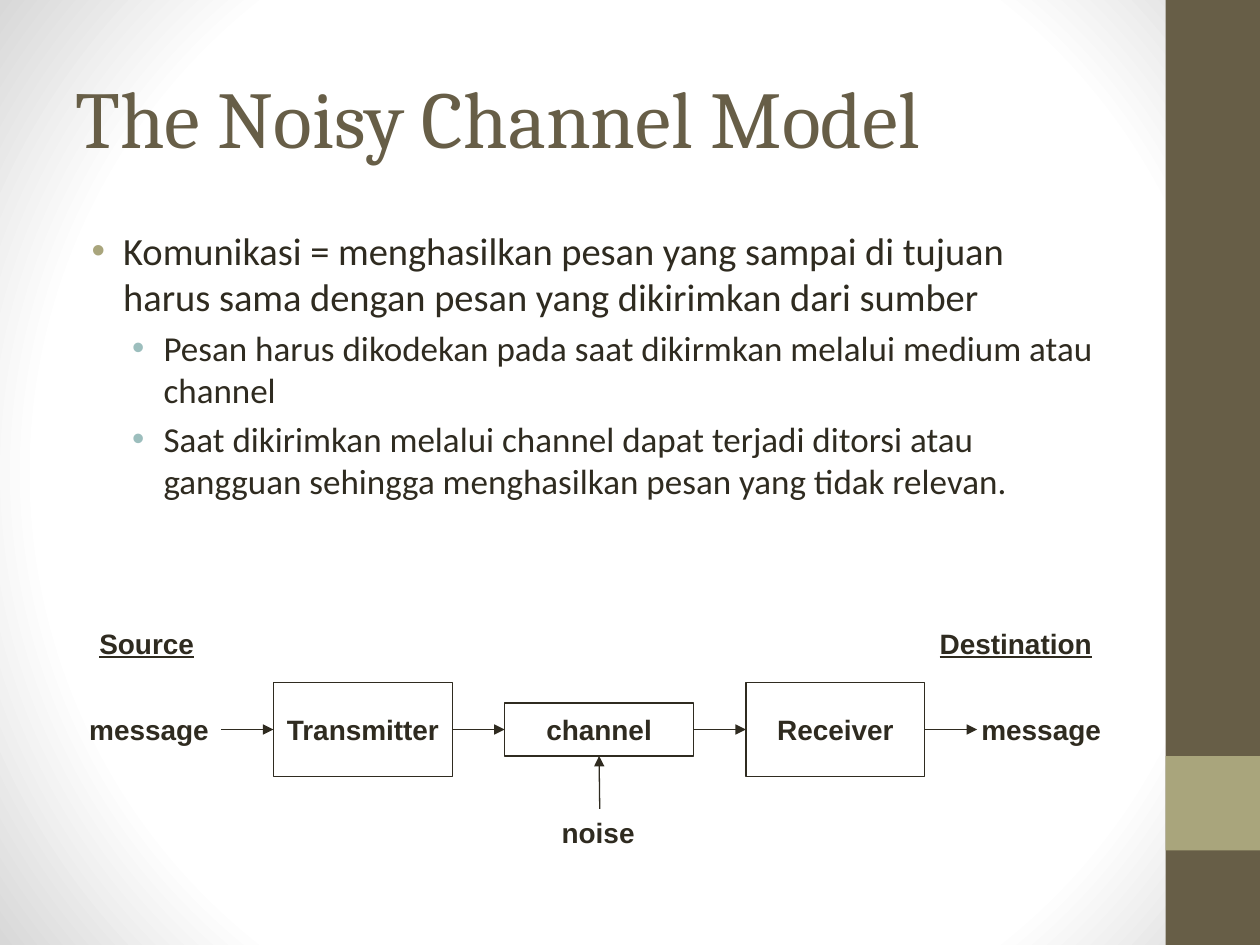
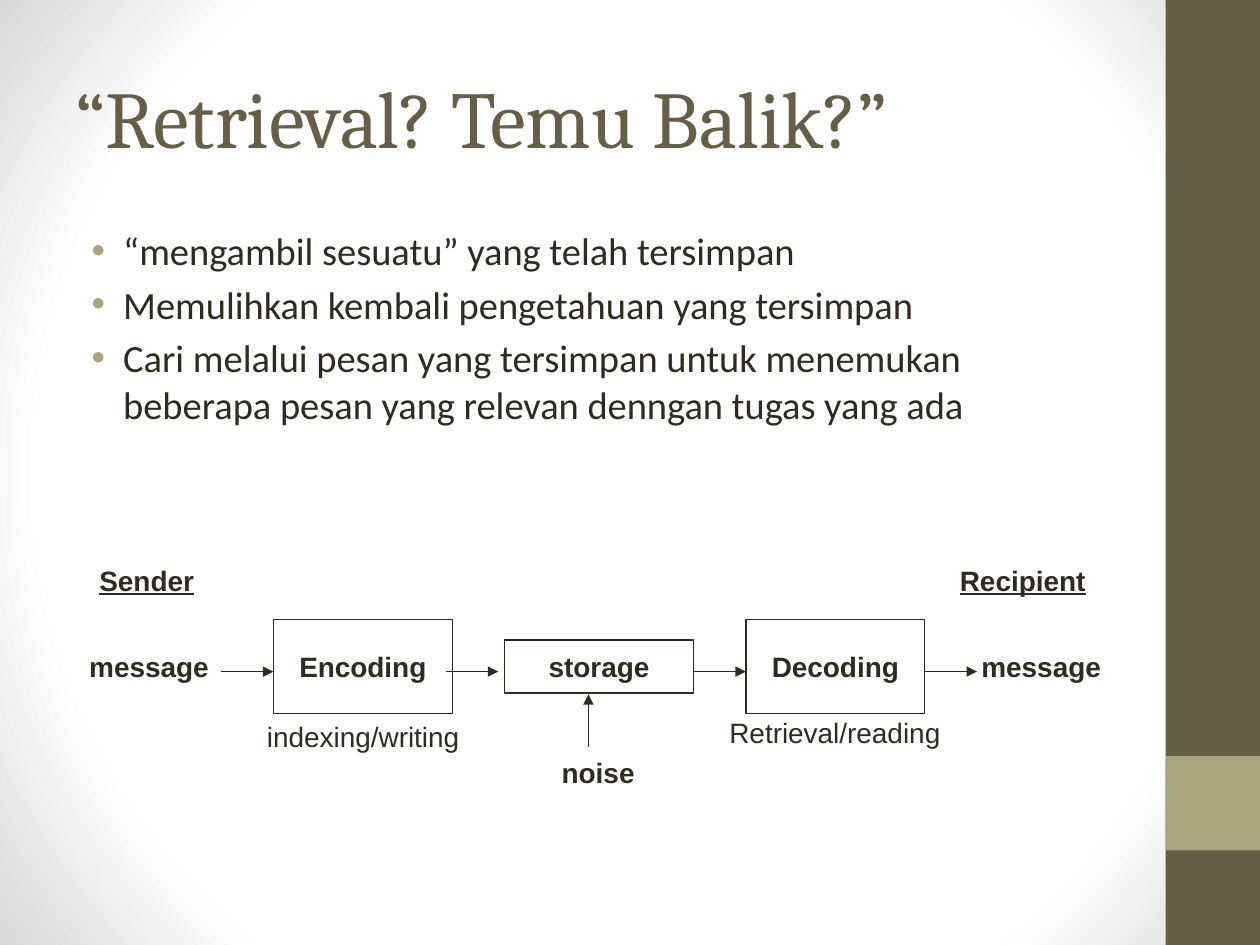
from lxml import etree
from pptx import Presentation, util as u
from pptx.dml.color import RGBColor
from pptx.enum import shapes, text
from pptx.oxml import parse_xml
from pptx.oxml.ns import nsdecls, qn

# Content: body lines are (level, words); labels are (words, left, rise from axis, width)
SLIDES = [
    dict(
        title="The Noisy Channel Model",
        body=[
            (0, "Komunikasi = menghasilkan pesan yang sampai di tujuan harus sama "
                "dengan pesan yang dikirimkan dari sumber"),
            (1, "Pesan harus dikodekan pada saat dikirmkan melalui medium atau channel"),
            (1, "Saat dikirimkan melalui channel dapat terjadi ditorsi atau gangguan "
                "sehingga menghasilkan pesan yang tidak relevan."),
        ],
        ends=[("Source", 0.69, 0.95), ("Destination", 7.36, 1.41)],
        stages=["Transmitter", "channel", "Receiver"],
        captions=[],
        axis=5.79, joined=True, noise_top=6.42,
    ),
    dict(
        title="“Retrieval? Temu Balik?”",
        body=[
            (0, "“mengambil sesuatu” yang telah tersimpan"),
            (0, "Memulihkan kembali pengetahuan yang tersimpan"),
            (0, "Cari melalui pesan yang tersimpan untuk menemukan beberapa pesan "
                "yang relevan denngan tugas yang ada"),
        ],
        ends=[("Sender", 0.69, 0.95), ("Recipient", 7.52, 1.2)],
        stages=["Encoding", "storage", "Decoding"],
        captions=[("indexing/writing", 2.02, 5.66, 1.73),
                  ("Retrieval/reading", 5.69, 5.63, 1.88)],
        axis=5.29, joined=False, noise_top=5.95,
    ),
]

# Shared look
WIDTH, HEIGHT = 10, 7.5
BROWN, OLIVE, TEAL, INK = "675E47", "A9A57C", "9CBEBD", "2F2B20"
BANDS = [(0, 1, BROWN), (0.8, 0.1, OLIVE)]  # top and height as shares of the slide
BAND_LEFT = 0.925 * WIDTH
LEVELS = [dict(size=22, indent=0.38, before=4.4, bullet=OLIVE),
          dict(size=20, indent=0.7, before=4, bullet=TEAL)]
HANGING = 0.25

# Flow diagram: three stages in a row with equal gaps
FLOW_LEFT, GAP = 2.17, 0.415
STAGE_SIZES = [(1.42, 0.75), (1.5, 0.42), (1.42, 0.75)]
LABEL_HEIGHT, END_RISE = 0.37, 0.87
MESSAGES = [(0.61, 1.15), (7.69, 1.15)]
NOISE_LEFT, NOISE_WIDTH, NOISE_ARROW = 4.36, 0.83, 0.42


def color(code):
    return RGBColor.from_string(code)


def inches(*lengths):
    return [u.Inches(length) for length in lengths]


def add_run(paragraph, words, size, font, ink=INK, bold=False, underline=False):
    run = paragraph.add_run()
    run.text = words
    run.font.size, run.font.name = u.Pt(size), font
    run.font.color.rgb = color(ink)
    run.font.bold, run.font.underline = bold, underline


def add_text_frame(slide, left, top, width, height, wrap=True):
    frame = slide.shapes.add_textbox(*inches(left, top, width, height)).text_frame
    frame.word_wrap = wrap
    return frame


def add_label(slide, words, left, top, width, bold=True, underline=False):
    frame = add_text_frame(slide, left, top, width, LABEL_HEIGHT, wrap=False)
    add_run(frame.paragraphs[0], words, 16, "Arial", bold=bold, underline=underline)


def add_rectangle(slide, left, top, width, height):
    box = slide.shapes.add_shape(shapes.MSO_SHAPE.RECTANGLE, *inches(left, top, width, height))
    box.shadow.inherit = False
    return box


def add_arrow(slide, start, end, source=None, target=None):
    """source and target are (shape, side) pairs to join."""
    arrow = slide.shapes.add_connector(shapes.MSO_CONNECTOR.STRAIGHT, *inches(*start, *end))
    if source:
        arrow.begin_connect(*source)
    if target:
        arrow.end_connect(*target)
    arrow.line.color.rgb = color(INK)
    arrow.line.width = u.Pt(0.75)
    line = arrow.line._get_or_add_ln()
    etree.SubElement(line, qn("a:tailEnd"), type="triangle")
    etree.SubElement(arrow.element.spPr, qn("a:effectLst"))


def set_background(master):
    master.background.fill.solid()
    solid = master.element.find(".//" + qn("p:bgPr")).find(qn("a:solidFill"))
    stops = "".join(f'<a:gs pos="{share * 1000}"><a:srgbClr val="{code}"/></a:gs>'
                    for share, code in [(0, "FFFFFF"), (75, "FFFFFF"), (100, "D8D8D8")])
    solid.getparent().replace(solid, parse_xml(
        f'<a:gradFill {nsdecls("a")} rotWithShape="1"><a:gsLst>{stops}</a:gsLst>'
        '<a:path path="circle"><a:fillToRect l="50000" t="50000" r="50000" b="50000"/>'
        '</a:path></a:gradFill>'))


def add_bands(slide):
    for top, height, fill in BANDS:
        band = add_rectangle(slide, BAND_LEFT, top * HEIGHT, WIDTH - BAND_LEFT, height * HEIGHT)
        band.fill.solid()
        band.fill.fore_color.rgb = color(fill)
        band.line.fill.background()


def add_title(slide, words):
    frame = add_text_frame(slide, 0.5, 0.3, 8.33, 1.25)
    frame.vertical_anchor = text.MSO_ANCHOR.MIDDLE
    add_run(frame.paragraphs[0], words, 46, "Cambria", BROWN)


def add_body(slide, lines):
    frame = add_text_frame(slide, 0.5, 1.75, 8.33, 5.25)
    for index, (level, words) in enumerate(lines):
        paragraph = frame.add_paragraph() if index else frame.paragraphs[0]
        style = LEVELS[level]
        paragraph.level = level
        paragraph.space_before = u.Pt(style["before"] if index else 0)
        props = paragraph._p.get_or_add_pPr()
        props.set("marL", str(u.Inches(style["indent"])))
        props.set("indent", str(-u.Inches(HANGING)))
        bullet = etree.SubElement(props, qn("a:buClr"))
        etree.SubElement(bullet, qn("a:srgbClr"), val=style["bullet"])
        etree.SubElement(props, qn("a:buFont"), typeface="Arial")
        etree.SubElement(props, qn("a:buChar"), char="•")
        add_run(paragraph, words, style["size"], "Calibri")


def add_stage(slide, words, left, axis, width, height):
    stage = add_rectangle(slide, left, axis - height / 2, width, height)
    stage.fill.background()
    stage.line.color.rgb = color(INK)
    stage.line.width = u.Pt(0.75)
    frame = stage.text_frame
    frame.word_wrap = False
    frame.vertical_anchor = text.MSO_ANCHOR.MIDDLE
    frame.paragraphs[0].alignment = text.PP_ALIGN.CENTER
    add_run(frame.paragraphs[0], words, 16, "Arial", bold=True)
    return stage


def add_flow(slide, content):
    axis, joined = content["axis"], content["joined"]
    for words, left, width in content["ends"]:
        add_label(slide, words, left, axis - END_RISE, width, underline=True)
    for left, width in MESSAGES:
        add_label(slide, "message", left, axis - LABEL_HEIGHT / 2, width)

    # Stages, keeping the x where each arrow starts
    stages, arrow_starts, left = [], [FLOW_LEFT - GAP], FLOW_LEFT
    for words, (width, height) in zip(content["stages"], STAGE_SIZES):
        stages.append(add_stage(slide, words, left, axis, width, height))
        arrow_starts.append(left + width)
        left += width + GAP

    # Arrows along the row; unjoined ones run slightly below the axis
    row = axis if joined else axis + 0.04
    for index, x in enumerate(arrow_starts):
        shift = -0.05 if index == 1 and not joined else 0
        source = (stages[index - 1], 3) if joined and index > 0 else None
        target = (stages[index], 1) if joined and index < len(stages) else None
        add_arrow(slide, (x + shift, row), (x + shift + GAP, row), source, target)

    # Noise enters the middle stage from below
    noise_top = content["noise_top"]
    add_label(slide, "noise", NOISE_LEFT, noise_top, NOISE_WIDTH)
    x, tail = (4.76, noise_top) if joined else (4.67, noise_top - 0.02)
    add_arrow(slide, (x, tail), (x, tail - NOISE_ARROW),
              target=(stages[1], 2) if joined else None)
    for words, left, top, width in content["captions"]:
        add_label(slide, words, left, top, width, bold=False)


def main():
    deck = Presentation()
    deck.slide_width, deck.slide_height = inches(WIDTH, HEIGHT)
    set_background(deck.slide_master)
    for content in SLIDES:
        slide = deck.slides.add_slide(deck.slide_layouts[6])
        add_bands(slide)
        add_title(slide, content["title"])
        add_body(slide, content["body"])
        add_flow(slide, content)
    deck.save("out.pptx")


if __name__ == "__main__":
    main()
